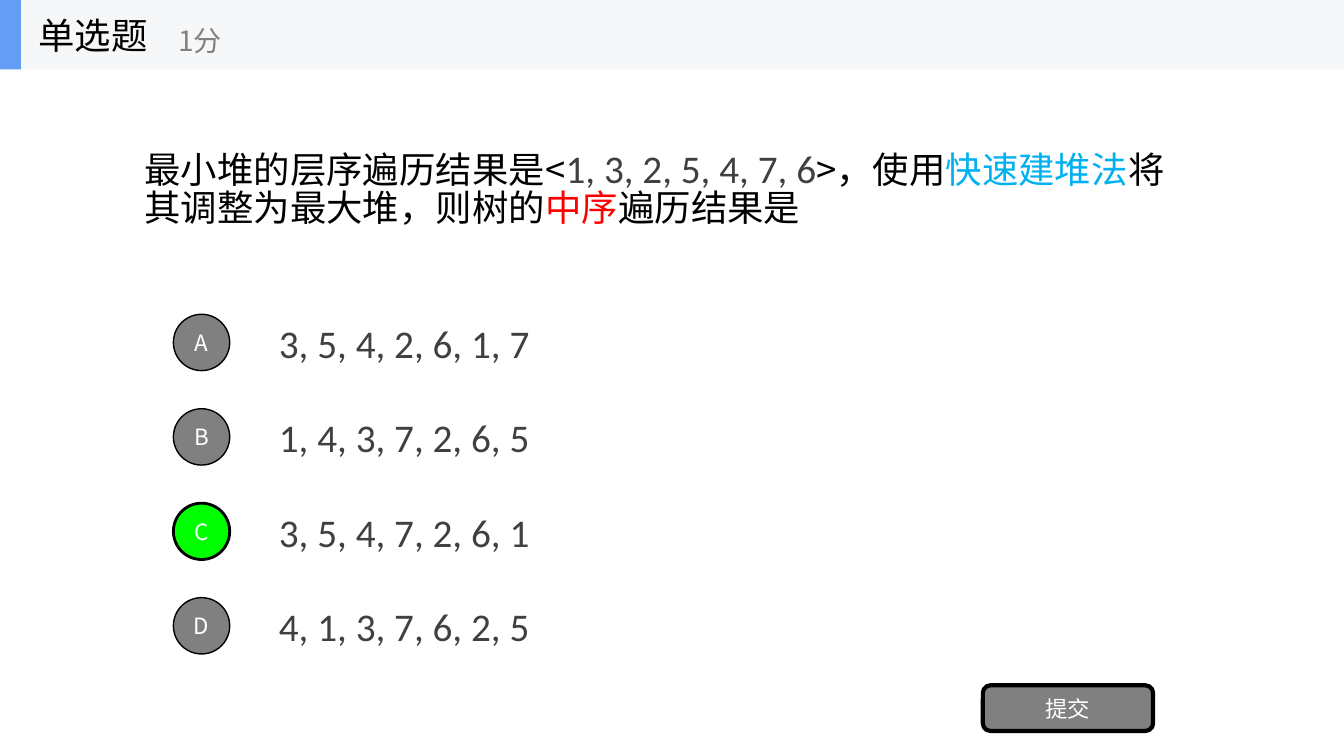
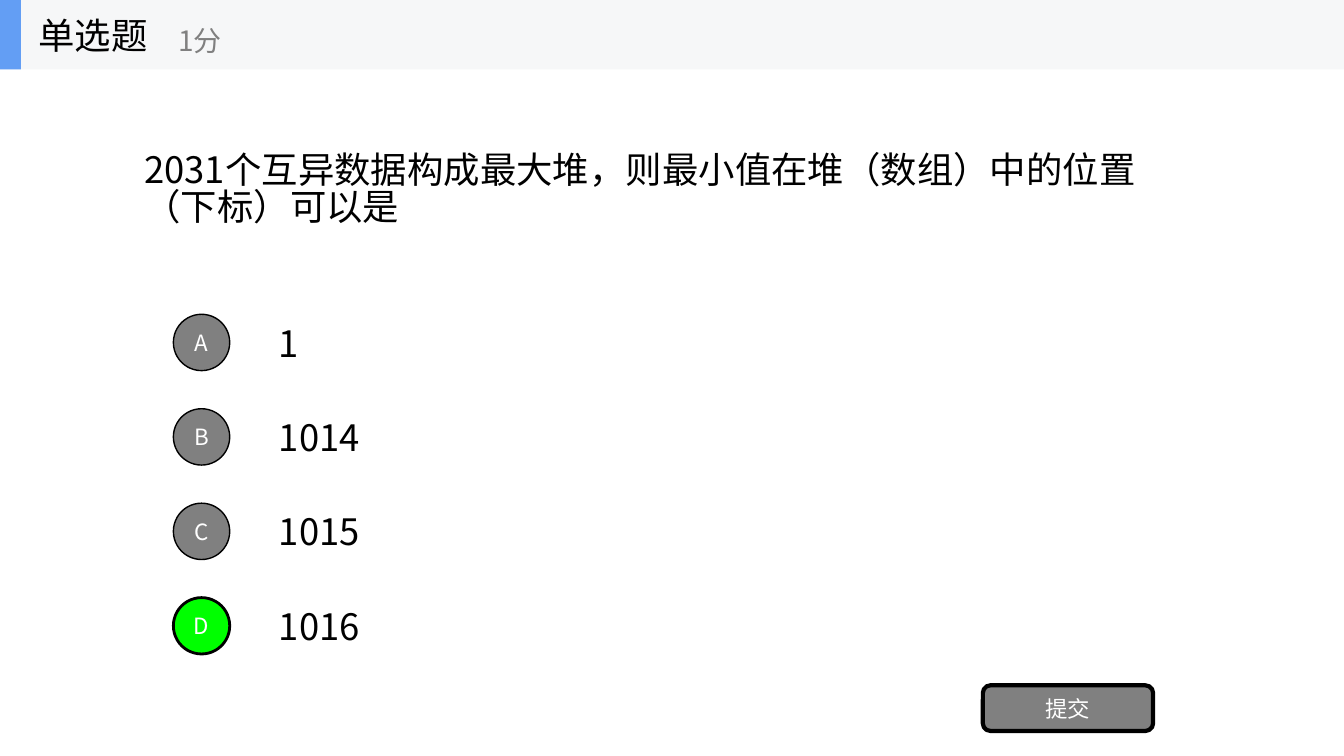
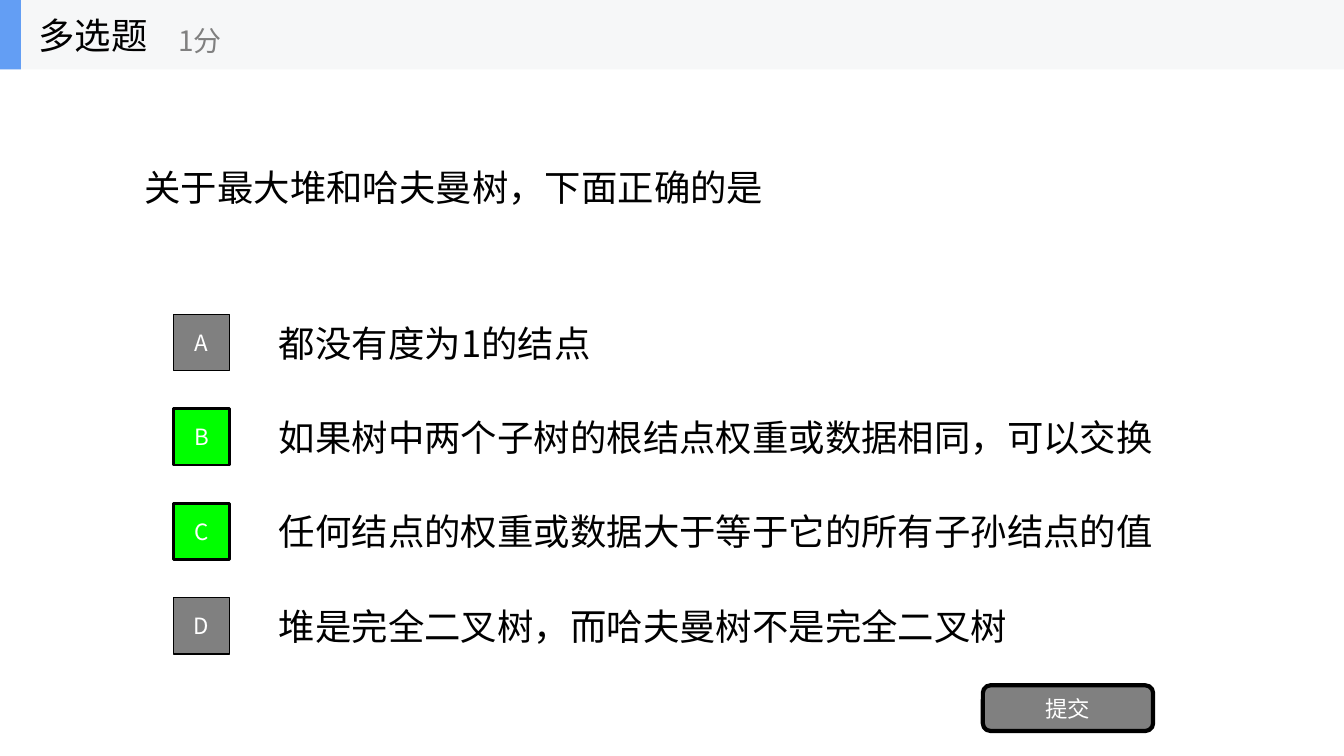
from lxml import etree
from pptx import Presentation
from pptx.dml.color import RGBColor
from pptx.enum.lang import MSO_LANGUAGE_ID
from pptx.enum.shapes import MSO_SHAPE
from pptx.enum.text import MSO_ANCHOR, MSO_AUTO_SIZE, PP_ALIGN
from pptx.oxml.ns import qn
from pptx.util import Cm, Pt

RECTANGLE = MSO_SHAPE.RECTANGLE
ELLIPSE = MSO_SHAPE.OVAL
ROUNDED = MSO_SHAPE.ROUNDED_RECTANGLE
LEFT, CENTER = PP_ALIGN.LEFT, PP_ALIGN.CENTER
MIDDLE = MSO_ANCHOR.MIDDLE
NO_AUTOFIT = MSO_AUTO_SIZE.NONE
CHINESE = MSO_LANGUAGE_ID.SIMPLIFIED_CHINESE
TITLE_ONLY = 5

BLACK, WHITE, GRAY = "000000", "FFFFFF", "808080"
BAND, ACCENT, CORRECT = "F6F7F8", "639EF4", "00FF00"
CJK_FONT = "Noto Sans CJK SC"

BODY = {"size": Pt(26), "name": CJK_FONT, "color": BLACK}
NUMBERS = {"size": Pt(28), "name": "Calibri", "color": "404040"}
METHOD = {**BODY, "color": "00B0F0"}
ORDER = {**BODY, "color": "FF0000"}
POINTS = {**BODY, "size": Pt(20), "color": GRAY}
LABEL = {**BODY, "size": Pt(16), "color": WHITE}

# Boxes are left, top, width, height in centimetres
SLIDE_WIDTH, SLIDE_HEIGHT = 33.87, 19.05
HEADER_BOX = (0, 0, SLIDE_WIDTH, 1.75)
QUESTION_BOX = (3.39, 1.83, 27.1, 5.94)
OPTIONS_BOX = (4.37, 7.74, 26.11, 8.92)
SUBMIT_BOX = (24.77, 17.27, 4.29, 1.15)
OPTION_HEIGHT, BADGE_SIZE, OPTION_INDENT = 1.78, 1.42, 2.41

QUESTIONS = [
    {
        "title": "单选题",
        "question": [
            ("最小堆的层序遍历结果是<", BODY),
            ("1, 3, 2, 5, 4, 7, 6", NUMBERS),
            (">，使用", BODY),
            ("快速建堆法", METHOD),
            ("将其调整为最大堆，则树的", BODY),
            ("中序", ORDER),
            ("遍历结果是", BODY),
        ],
        "options": ["3, 5, 4, 2, 6, 1, 7", "1, 4, 3, 7, 2, 6, 5",
                    "3, 5, 4, 7, 2, 6, 1", "4, 1, 3, 7, 6, 2, 5"],
        "option_style": NUMBERS,
        "answers": "C",
        "badge": ELLIPSE,
    },
    {
        "title": "单选题",
        "question": [("2031个互异数据构成最大堆，则最小值在堆（数组）中的位置（下标）可以是", BODY)],
        "options": ["1", "1014", "1015", "1016"],
        "option_style": BODY,
        "answers": "D",
        "badge": ELLIPSE,
    },
    {
        "title": "多选题",
        "question": [("关于最大堆和哈夫曼树，下面正确的是", BODY)],
        "options": ["都没有度为1的结点",
                    "如果树中两个子树的根结点权重或数据相同，可以交换",
                    "任何结点的权重或数据大于等于它的所有子孙结点的值",
                    "堆是完全二叉树，而哈夫曼树不是完全二叉树"],
        "option_style": BODY,
        "answers": "BC",
        "badge": RECTANGLE,
    },
]


def rgb(value):
    return RGBColor.from_string(value)


def write(shape, runs, alignment=LEFT, line_spacing=1.0):
    """Fill the shape with one paragraph made of (text, style) runs."""
    frame = shape.text_frame
    for name, value in {"word_wrap": True, "auto_size": NO_AUTOFIT,
                        "vertical_anchor": MIDDLE}.items():
        setattr(frame, name, value)
    paragraph = frame.paragraphs[0]
    paragraph.alignment = alignment
    paragraph.line_spacing = line_spacing
    for text, style in runs:
        run = paragraph.add_run()
        run.text = text
        run.font.language_id = CHINESE
        for name, value in style.items():
            if name == "color":
                run.font.color.rgb = rgb(value)
            else:
                setattr(run.font, name, value)
        east_asian = etree.SubElement(run.font._element, qn("a:ea"))
        east_asian.set("typeface", CJK_FONT)


def add_text(slide, box, runs, line_spacing=1.0):
    shape = slide.shapes.add_textbox(*map(Cm, box))
    write(shape, runs, line_spacing=line_spacing)


def add_block(slide, kind, box, fill, line_width=0, label=None):
    shape = slide.shapes.add_shape(kind, *map(Cm, box))
    shape.shadow.inherit = False
    shape.fill.solid()
    shape.fill.fore_color.rgb = rgb(fill)
    if line_width:
        shape.line.color.rgb = rgb(BLACK)
        shape.line.width = Pt(line_width)
    else:
        shape.line.fill.background()
    if label:
        write(shape, [(label, LABEL)], CENTER)


def add_header(slide, box, title_text):
    left, top, width, height = box
    add_block(slide, RECTANGLE, box, BAND)
    add_block(slide, RECTANGLE, (left, top, 0.53, height), ACCENT)
    title = slide.shapes.title
    title_box = (left + 0.71, top, 5.28, height)
    for name, value in zip(("left", "top", "width", "height"), title_box):
        setattr(title, name, Cm(value))
    write(title, [(title_text, BODY)])
    # The title must lie in front of the band
    slide.shapes._spTree.append(title._element)
    add_text(slide, (left + 4.24, top + 0.3, 6.35, 1.42), [("1分", POINTS)])


def add_options(slide, box, content):
    left, top, width, height = box
    options = content["options"]
    pitch = (height - OPTION_HEIGHT) / (len(options) - 1)
    badge_offset = (OPTION_HEIGHT - BADGE_SIZE) / 2
    for index, (letter, text) in enumerate(zip("ABCD", options)):
        row_top = top + index * pitch
        add_text(slide, (left + OPTION_INDENT, row_top, width - OPTION_INDENT, OPTION_HEIGHT),
                 [(text, content["option_style"])])
        fill, line_width = (CORRECT, 2) if letter in content["answers"] else (GRAY, 1)
        badge_box = (left, row_top + badge_offset, BADGE_SIZE, BADGE_SIZE)
        add_block(slide, content["badge"], badge_box, fill, line_width, letter)


def add_question_slide(presentation, content):
    slide = presentation.slides.add_slide(presentation.slide_layouts[TITLE_ONLY])
    add_header(slide, HEADER_BOX, content["title"])
    add_text(slide, QUESTION_BOX, content["question"], line_spacing=0.85)
    add_options(slide, OPTIONS_BOX, content)
    add_block(slide, ROUNDED, SUBMIT_BOX, GRAY, 3, "提交")


def main():
    presentation = Presentation()
    presentation.slide_width = Cm(SLIDE_WIDTH)
    presentation.slide_height = Cm(SLIDE_HEIGHT)
    for content in QUESTIONS:
        add_question_slide(presentation, content)
    presentation.save("out.pptx")


if __name__ == "__main__":
    main()
